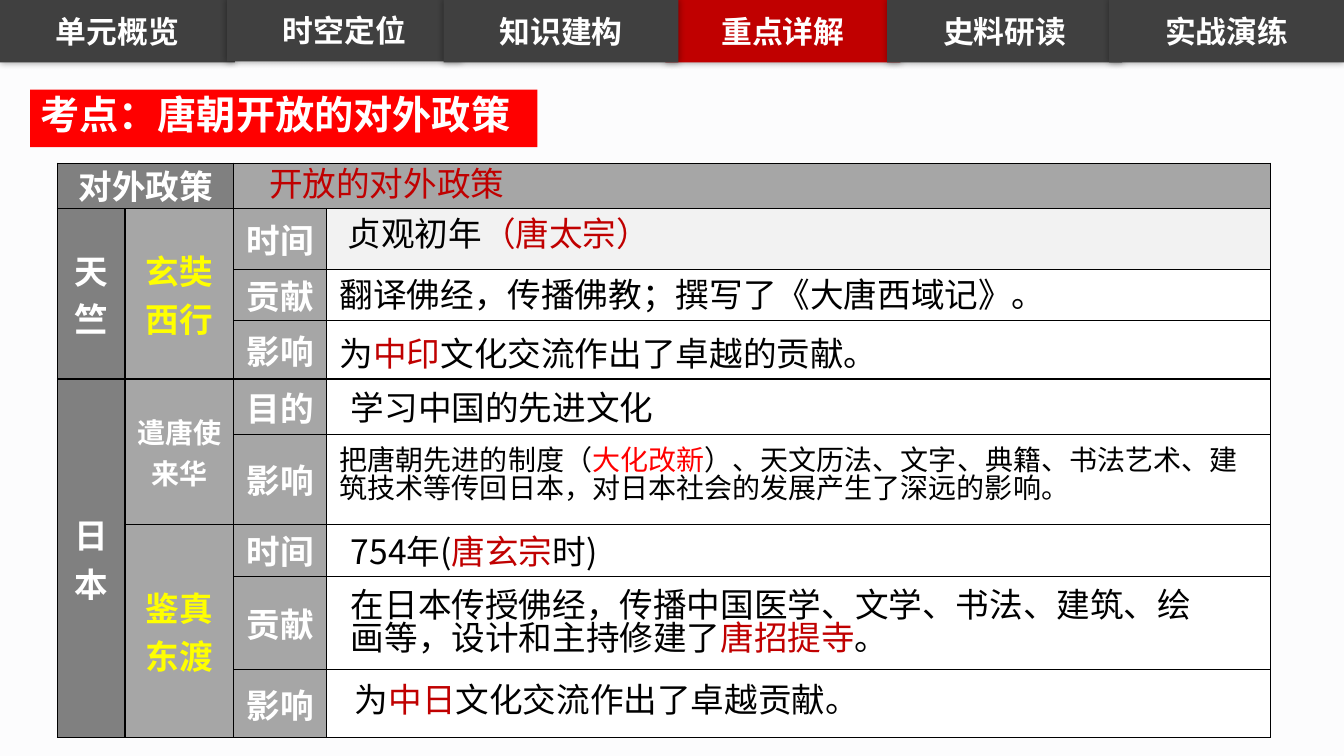
import pptx
import pptx.dml.color
import pptx.enum.shapes
import pptx.enum.text
import pptx.oxml
import pptx.oxml.ns
import pptx.util
from pptx.util import Inches

RGBColor = pptx.dml.color.RGBColor
PP_ALIGN = pptx.enum.text.PP_ALIGN
MIDDLE = pptx.enum.text.MSO_ANCHOR.MIDDLE
TOP = pptx.enum.text.MSO_ANCHOR.TOP

FONT = "Noto Sans CJK SC"
WHITE = RGBColor(0xFF, 0xFF, 0xFF)
BLACK = RGBColor(0, 0, 0)
RED = RGBColor(0xFF, 0, 0)
DARK_RED = RGBColor(0xC0, 0, 0)
YELLOW = RGBColor(0xFF, 0xFF, 0)
CHARCOAL = RGBColor(0x40, 0x40, 0x40)
GRAY = RGBColor(0x80, 0x80, 0x80)
LIGHT_GRAY = RGBColor(0xA6, 0xA6, 0xA6)
PALE_GRAY = RGBColor(0xF2, 0xF2, 0xF2)
PAPER = RGBColor(0xFC, 0xFC, 0xFD)

# Label, left, top, fill, from back to front
TABS = [
    ("重点详解", 6.6, 0, DARK_RED),
    ("史料研读", 8.8, 0, CHARCOAL),
    ("实战演练", 11, 0, CHARCOAL),
    ("单元概览", 0, 0, CHARCOAL),
    ("时空定位", 2.25, -0.01, CHARCOAL),
    ("知识建构", 4.4, 0, CHARCOAL),
]
TOPIC = "考点：唐朝开放的对外政策"

COLUMNS = [0.67, 1.08, 0.92, 9.36]
ROWS = [0.45, 0.6, 0.51, 0.58, 0.55, 0.89, 0.52, 0.92, 0.68]
ASPECTS = ["时间", "贡献", "影响", "目的", "影响", "时间", "贡献", "影响"]
# Row, column, rows spanned, columns spanned, text, size, colour
HEADINGS = [
    (0, 0, 1, 2, "对外政策", 24, WHITE),
    (0, 2, 1, 2, "", 24, WHITE),
    (1, 0, 3, 1, "天竺", 24, WHITE),
    (1, 1, 3, 1, "玄奘西行", 24, YELLOW),
    (4, 0, 5, 1, "日本", 24, WHITE),
    (4, 1, 2, 1, "遣唐使来华", 20, WHITE),
    (6, 1, 3, 1, "鉴真东渡", 24, YELLOW),
] + [(row, 2, 1, 1, aspect, 24, WHITE) for row, aspect in enumerate(ASPECTS, 1)]

# Left, top, width, height, side inset, top inset, size, runs
WIDE, NARROW = (0.13, 0.07), (0.1, 0.05)
DETAILS = [
    (3.35, 2.1, 5.97, 0.5, NARROW, 24, [("贞观初年", BLACK), ("（唐太宗）", DARK_RED)]),
    (3.24, 2.69, 9.16, 0.54, WIDE, 24,
     [("翻译佛经，传播佛教；撰写了《大唐西域记》。", BLACK)]),
    (3.35, 3.81, 3.8, 0.54, WIDE, 24, [("学习中国的先进文化", BLACK)]),
    (3.24, 4.35, 9.36, 0.8, WIDE, 20,
     [("把唐朝先进的制度（", BLACK), ("大化改新", RED),
      ("）、天文历法、文字、典籍、书法艺术、建筑技术等传回日本，"
       "对日本社会的发展产生了深远的影响。", BLACK)]),
    (3.35, 5.23, 3.26, 0.54, WIDE, 24,
     [("754年(", BLACK), ("唐玄宗", DARK_RED), ("时)", BLACK)]),
    (3.39, 6.7, 8.86, 0.54, WIDE, 24,
     [("为", BLACK), ("中日", DARK_RED), ("文化交流作出了卓越贡献。", BLACK)]),
    (2.57, 1.6, 2.97, 0.5, NARROW, 24, [("开放的对外政策", DARK_RED)]),
    (3.24, 3.27, 9.16, 0.54, WIDE, 24,
     [("为", BLACK), ("中印", DARK_RED), ("文化交流作出了卓越的贡献。", BLACK)]),
    (3.35, 5.76, 8.91, 0.94, WIDE, 24,
     [("在日本传授佛经，传播中国医学、文学、书法、建筑、绘画等，设计和主持修建了", BLACK),
      ("唐招提寺", DARK_RED), ("。", BLACK)]),
]
TIGHT = 0.83  # line spacing that brings this font to 1.2 em
TIGHT_DROP = 0.03  # extra top inset that goes with it


def element(xml):
    return pptx.oxml.parse_xml(xml.replace(">", f" {pptx.oxml.ns.nsdecls('a')}>", 1))


def write(frame, runs, size, bold=False, align=PP_ALIGN.LEFT, spacing=1.0):
    """Fill the first paragraph with (text, colour) runs in the slide's font."""
    line = frame.paragraphs[0]
    line.alignment = align
    line.line_spacing = spacing
    line.font.name = FONT
    line._p.pPr.find(pptx.oxml.ns.qn("a:defRPr")).append(
        element(f'<a:ea typeface="{FONT}"></a:ea>'))
    line.font.size = pptx.util.Pt(size)
    line.font.bold = bold
    line.font.color.rgb = runs[0][1]
    for text, colour in runs:
        run = line.add_run()
        run.text = text
        if colour != runs[0][1]:
            run.font.color.rgb = colour


def set_insets(frame, side, top):
    frame.word_wrap = True
    frame.margin_left = frame.margin_right = Inches(side)
    frame.margin_top = Inches(top + TIGHT_DROP)
    frame.margin_bottom = 0
    frame.vertical_anchor = TOP


def add_tab(slide, label, left, top, fill):
    tab = slide.shapes.add_shape(pptx.enum.shapes.MSO_SHAPE.RECTANGLE, Inches(left),
                                 Inches(top), Inches(2.33), Inches(0.62))
    tab.fill.solid()
    tab.fill.fore_color.rgb = fill
    tab.line.fill.background()
    tab._element.spPr.append(element(
        '<a:effectLst><a:outerShdw blurRad="63500" dist="0" dir="0">'
        '<a:srgbClr val="000000"><a:alpha val="40000"/></a:srgbClr>'
        '</a:outerShdw></a:effectLst>'))
    tab.text_frame.vertical_anchor = MIDDLE
    write(tab.text_frame, [(label, WHITE)], 22, True, PP_ALIGN.CENTER)


def cell_fill(row, column):
    if column < 3:
        return GRAY if column == 0 else LIGHT_GRAY
    return PALE_GRAY if row == 1 else WHITE


def add_policy_table(slide):
    table = slide.shapes.add_table(len(ROWS), len(COLUMNS), Inches(0.57), Inches(1.62),
                                   Inches(sum(COLUMNS)), Inches(sum(ROWS))).table
    table.first_row = table.horz_banding = False
    for column, width in zip(table.columns, COLUMNS):
        column.width = Inches(width)
    for row, height in zip(table.rows, ROWS):
        row.height = Inches(height)
    for r in range(len(ROWS)):
        for c in range(len(COLUMNS)):
            cell = table.cell(r, c)
            cell.margin_left = cell.margin_right = Inches(0.07)
            cell.margin_top = cell.margin_bottom = 0
            cell.vertical_anchor = MIDDLE
            cell.fill.solid()
            cell.fill.fore_color.rgb = cell_fill(r, c)
            for position, side in enumerate("LRTB"):
                cell._tc.tcPr.insert(position, element(
                    f'<a:ln{side} w="12700"><a:solidFill><a:srgbClr val="000000"/>'
                    f'</a:solidFill></a:ln{side}>'))
    for r, c, down, across, text, size, colour in HEADINGS:
        cell = table.cell(r, c)
        if down * across > 1:
            cell.merge(table.cell(r + down - 1, c + across - 1))
        if text:
            write(cell.text_frame, [(text, colour)], size, True, PP_ALIGN.CENTER,
                  0.92 if r == 0 else 1.0)
    table.cell(0, 0).fill.fore_color.rgb = GRAY


def main():
    deck = pptx.Presentation()
    deck.slide_width, deck.slide_height = Inches(13.33), Inches(7.5)
    slide = deck.slides.add_slide(deck.slide_layouts[5])
    slide.background.fill.solid()
    slide.background.fill.fore_color.rgb = PAPER

    topic = slide.shapes.title
    topic.left, topic.top, topic.width, topic.height = map(Inches, (0.3, 0.89, 5.03, 0.57))
    topic.fill.solid()
    topic.fill.fore_color.rgb = RED
    topic.text_frame.auto_size = pptx.enum.text.MSO_AUTO_SIZE.NONE
    set_insets(topic.text_frame, *NARROW)
    write(topic.text_frame, [(TOPIC, WHITE)], 28, True, spacing=TIGHT)

    for tab in TABS:
        add_tab(slide, *tab)
    add_policy_table(slide)
    for left, top, width, height, insets, size, runs in DETAILS:
        detail = slide.shapes.add_textbox(*map(Inches, (left, top, width, height)))
        set_insets(detail.text_frame, *insets)
        write(detail.text_frame, runs, size, spacing=TIGHT)
    deck.save("out.pptx")


if __name__ == "__main__":
    main()
